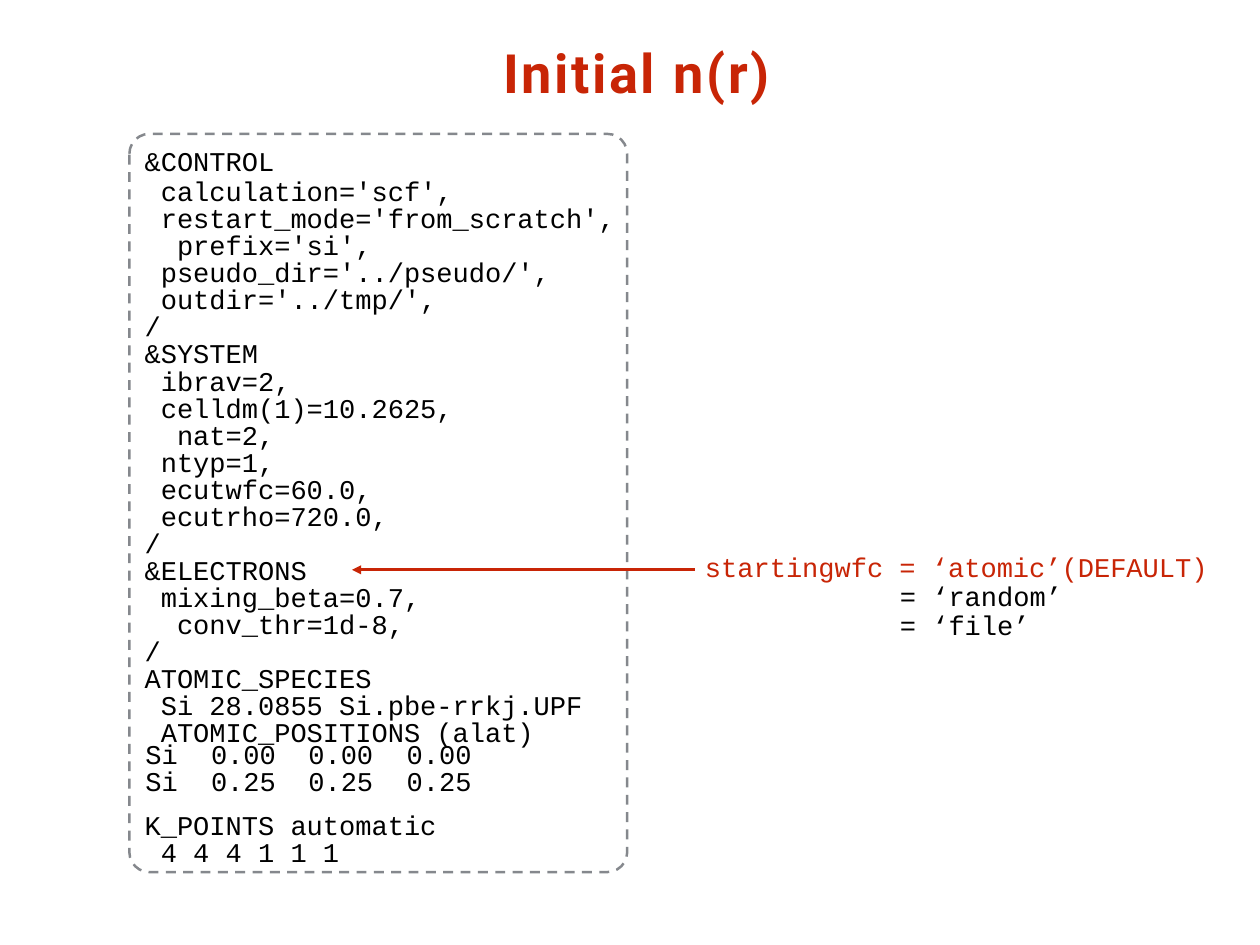
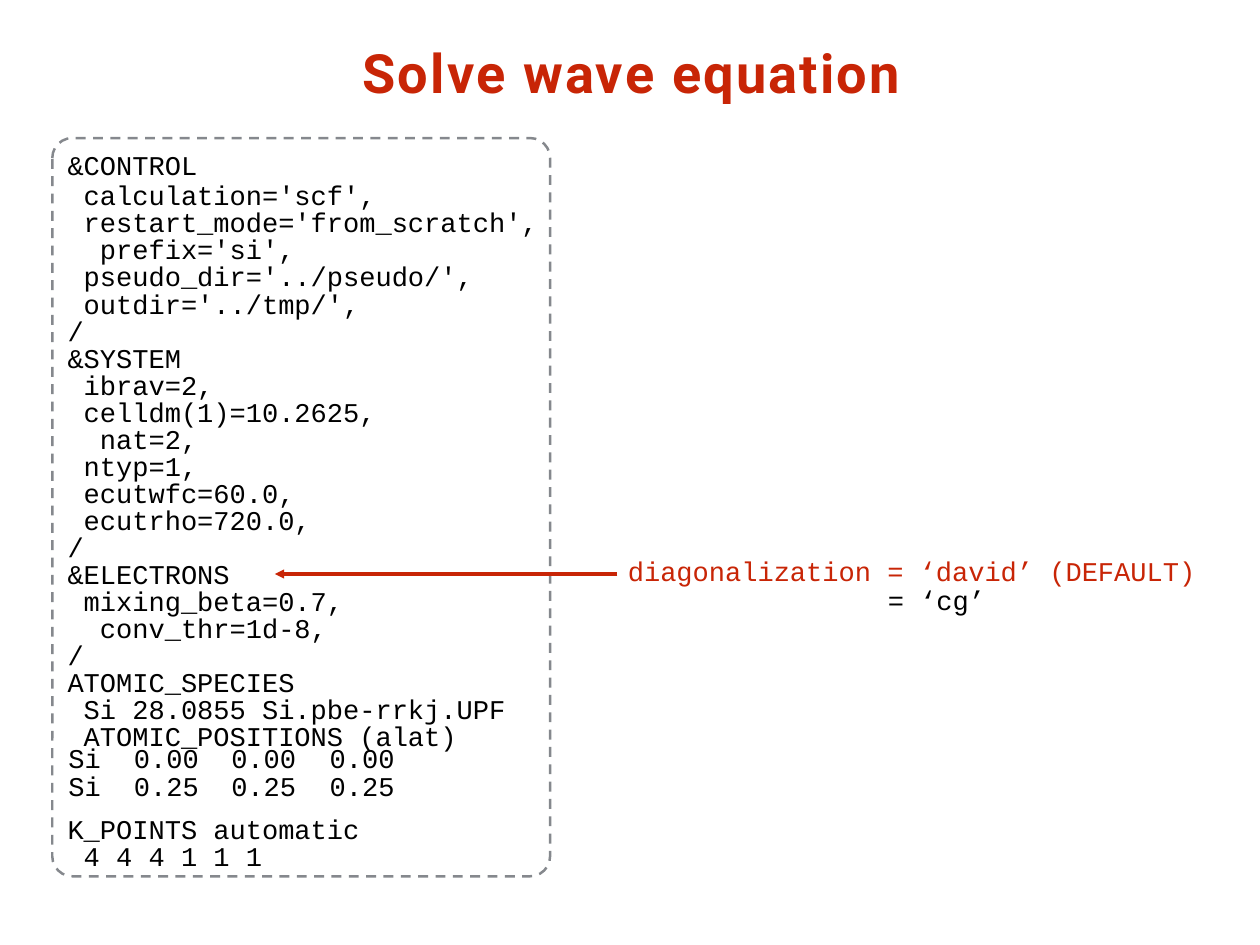
from pptx import Presentation
from pptx.dml.color import RGBColor
from pptx.enum.dml import MSO_LINE
from pptx.enum.shapes import MSO_CONNECTOR, MSO_SHAPE
from pptx.enum.text import MSO_ANCHOR, MSO_AUTO_SIZE, PP_ALIGN
from pptx.oxml.ns import qn
from pptx.util import Cm, Pt
from lxml.etree import SubElement

COLORS = {"accent": "C82506", "text": "000000", "frame": "85888D"}
TITLE_FONT, CODE_FONT, CODE_SIZE = "Roboto", "Courier New", 22
CHAR_WIDTH = 0.4657
PLAIN_TABLE = "{2D5ABB26-0587-4C30-8999-92F81FD0307C}"
FRAME_WIDTH, FRAME_HEIGHT = 14.27, 21.17
POSITION_COLUMNS = (1.5, 2.79, 2.82, 2.44)
POSITIONS = (("Si", "0.00", "0.00", "0.00"), ("Si", "0.25", "0.25", "0.25"))
POSITION_ROW = 0.78

INPUT_FILE = """&CONTROL
 calculation='scf',
 restart_mode='from_scratch',
  prefix='si',
 pseudo_dir='../pseudo/',
 outdir='../tmp/',
/
&SYSTEM
 ibrav=2,
 celldm(1)=10.2625,
  nat=2,
 ntyp=1,
 ecutwfc=60.0,
 ecutrho=720.0,
/
&ELECTRONS
 mixing_beta=0.7,
  conv_thr=1d-8,
/
ATOMIC_SPECIES
 Si 28.0855 Si.pbe-rrkj.UPF
 ATOMIC_POSITIONS (alat)
K_POINTS automatic
 4 4 4 1 1 1""".split("\n")
SPACE_BEFORE = {" calculation='scf',": 2.2, "K_POINTS automatic": 53}


def color(name):
    """Return the named palette colour."""
    return RGBColor.from_string(COLORS[name])


def set_font(paragraph, face, size, color_name, bold=False):
    """Format a whole paragraph."""
    font = paragraph.font
    font.name, font.size, font.bold = face, Pt(size), bold
    font.color.rgb = color(color_name)


def set_frame(frame, left=0, top=0):
    """Give a text frame fixed size, wrapping, top anchor and insets in cm."""
    frame.word_wrap = True
    frame.auto_size = MSO_AUTO_SIZE.NONE
    frame.vertical_anchor = MSO_ANCHOR.TOP
    frame.margin_left, frame.margin_top = Cm(left), Cm(top)
    frame.margin_right = frame.margin_bottom = 0


def write_code(frame, lines, pitch, color_names):
    """Write one code line per paragraph and return the paragraphs."""
    for index, (line, color_name) in enumerate(zip(lines, color_names)):
        paragraph = frame.add_paragraph() if index else frame.paragraphs[0]
        paragraph.text = line
        paragraph.alignment = PP_ALIGN.LEFT
        paragraph.line_spacing = Pt(pitch)
        set_font(paragraph, CODE_FONT, CODE_SIZE, color_name)
    return frame.paragraphs


def add_title(slide, text, left, tracking):
    """Place the slide title with its letter spacing in points."""
    title = slide.shapes.title
    title.left, title.top, title.width, title.height = Cm(left), Cm(1.13), Cm(19), Cm(1.9)
    set_frame(title.text_frame)
    heading = title.text_frame.paragraphs[0]
    heading.text = text
    heading.alignment = PP_ALIGN.LEFT
    set_font(heading, TITLE_FONT, 44, "accent", bold=True)
    heading.runs[0].font._element.set("spc", str(round(tracking * 100)))


def add_input_file(slide, left, top):
    """Draw the dashed frame holding the input file."""
    panel = slide.shapes.add_shape(MSO_SHAPE.ROUNDED_RECTANGLE, Cm(left), Cm(top),
                                   Cm(FRAME_WIDTH), Cm(FRAME_HEIGHT))
    panel.adjustments[0] = 0.04
    panel.shadow.inherit = False
    panel.fill.background()
    panel.line.color.rgb = color("frame")
    panel.line.width = Pt(2)
    panel.line.dash_style = MSO_LINE.DASH
    set_frame(panel.text_frame, 0.27, 0.3)
    for paragraph in write_code(panel.text_frame, INPUT_FILE, 22, ["text"] * len(INPUT_FILE)):
        if paragraph.text in SPACE_BEFORE:
            paragraph.space_before = Pt(SPACE_BEFORE[paragraph.text])


def add_positions(slide, left, top):
    """Add the table of atomic positions."""
    table = slide.shapes.add_table(len(POSITIONS), len(POSITION_COLUMNS), Cm(left), Cm(top),
                                   Cm(sum(POSITION_COLUMNS)),
                                   Cm(POSITION_ROW * len(POSITIONS))).table
    table.first_row = table.horz_banding = False
    table._tbl.tblPr.find(qn("a:tableStyleId")).text = PLAIN_TABLE
    for column, width in zip(table.columns, POSITION_COLUMNS):
        column.width = Cm(width)
    for row, values in zip(table.rows, POSITIONS):
        row.height = Cm(POSITION_ROW)
        for index, (cell, value) in enumerate(zip(row.cells, values)):
            cell.fill.background()
            cell.margin_left = Cm(0.46 if index else 0.08)
            cell.margin_right = cell.margin_top = cell.margin_bottom = 0
            write_code(cell.text_frame, [value], 21, ["text"])


def add_arrow(slide, start, end, y):
    """Draw a horizontal arrow from the keyword to its section."""
    arrow = slide.shapes.add_connector(MSO_CONNECTOR.STRAIGHT, Cm(start), Cm(y), Cm(end), Cm(y))
    arrow.line.color.rgb = color("accent")
    arrow.line.width = Pt(2.5)
    SubElement(arrow.line._get_or_add_ln(), qn("a:tailEnd"), type="triangle", w="med", len="med")
    SubElement(arrow._element.spPr, qn("a:effectLst"))


def add_keyword(slide, left, top, keyword, options):
    """List a keyword's options, default first, aligned at the equals sign."""
    box = slide.shapes.add_textbox(Cm(left), Cm(top), Cm(16.5), Cm(0.85 * len(options)))
    set_frame(box.text_frame)
    lines = [f"{keyword} = {options[0]}"] + [f"= {option}" for option in options[1:]]
    names = ["accent"] + ["text"] * (len(options) - 1)
    indent = Cm((len(keyword) + 1) * CHAR_WIDTH)
    for paragraph in write_code(box.text_frame, lines, 23.5, names)[1:]:
        properties = paragraph._p.get_or_add_pPr()
        properties.set("marL", str(indent))
        properties.set("indent", "0")


def add_keyword_slide(deck, title, title_left, tracking, left, top, keyword, options):
    """Build a slide that explains one keyword of the input file."""
    slide = deck.slides.add_slide(deck.slide_layouts[5])
    add_title(slide, title, title_left, tracking)
    add_input_file(slide, left, top)
    add_positions(slide, left + 0.38, top + 17.58)
    add_arrow(slide, left + 16.2, left + 6.38, top + 12.5)
    add_keyword(slide, left + 16.5, top + 12.05, keyword, options)


def main():
    """Build and save the deck."""
    deck = Presentation()
    deck.slide_width, deck.slide_height = Cm(36.12), Cm(27.1)
    add_keyword_slide(deck, "Initial n(r)", 14.43, 2.1, 3.71, 3.84,
                      "startingwfc", ("‘atomic’(DEFAULT)", "‘random’", "‘file’"))
    add_keyword_slide(deck, "Solve wave equation", 10.39, 1.77, 1.5, 3.96,
                      "diagonalization", ("‘david’ (DEFAULT)", "‘cg’"))
    deck.save("out.pptx")


if __name__ == "__main__":
    main()
